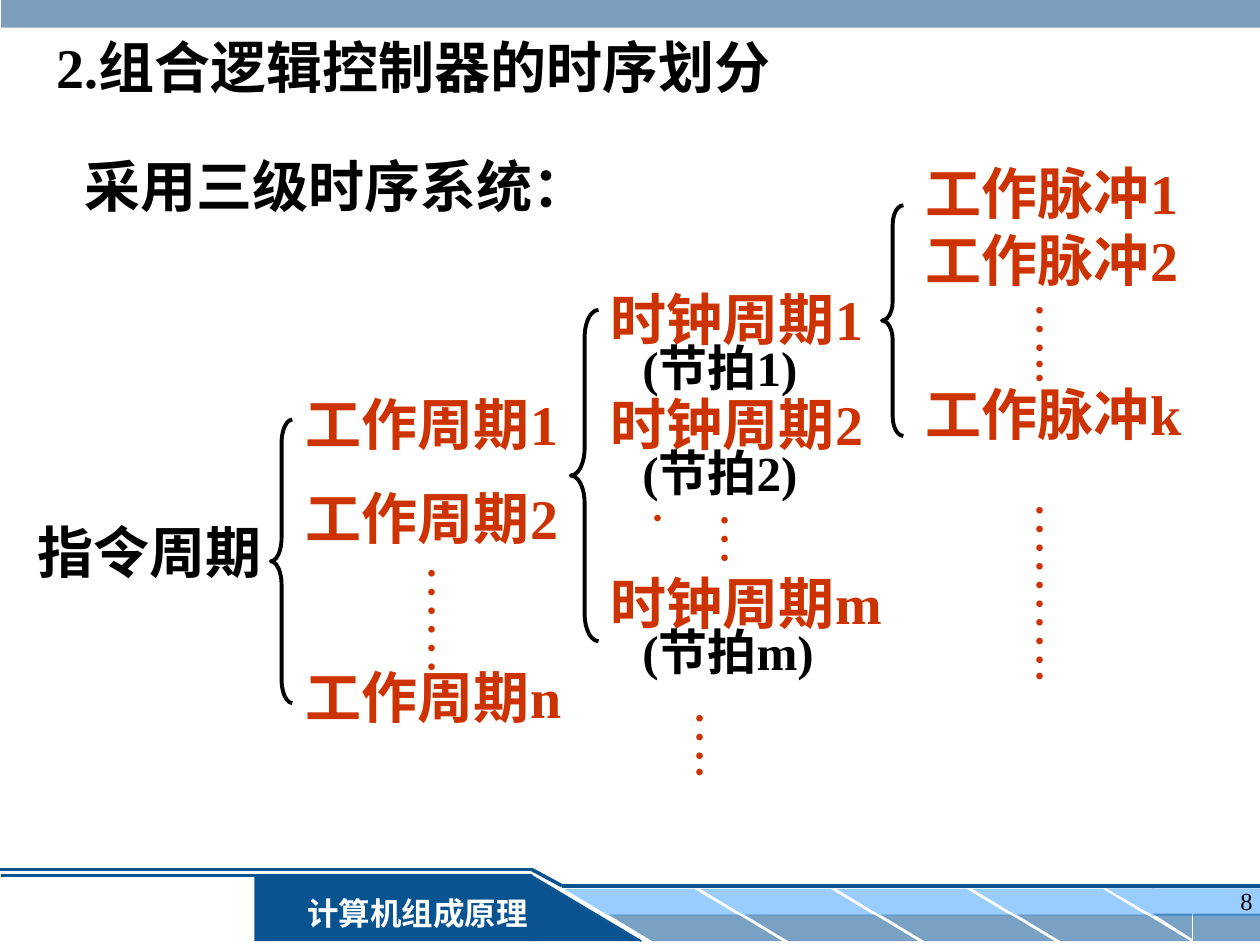
from lxml.etree import SubElement
from pptx import Presentation
from pptx.dml.color import RGBColor
from pptx.enum.shapes import MSO_CONNECTOR, MSO_SHAPE
from pptx.enum.text import MSO_ANCHOR, MSO_AUTO_SIZE, PP_ALIGN
from pptx.oxml.ns import qn
from pptx.util import Inches, Pt

NAVY, SKY, STEEL = "095391", "99CCFF", "336699"
BLACK, WHITE, RED = "000000", "FFFFFF", "CC3300"


def paint(fill, color, opacity=100):
    """Fill an area, a line or a font with one colour."""
    fill.solid()
    fill.fore_color.rgb = RGBColor.from_string(color)
    if opacity < 100:
        tint = fill._xPr.find(qn("a:solidFill"))[0]
        SubElement(tint, qn("a:alpha"), val=str(opacity * 1000))


def write(box, text, size, color, bold=True, align=PP_ALIGN.LEFT):
    """Put one formatted line of text into a box."""
    box.text_frame.word_wrap = True
    para = box.text_frame.paragraphs[0]
    para.alignment = align
    span = para.add_run()
    span.text = text
    span.font.name = "Times New Roman"
    span.font.size = Pt(size)
    span.font.bold = bold
    paint(span.font.fill, color)


# Slide with a grid of 100 columns by 75 rows
deck = Presentation()
deck.slide_width, deck.slide_height = Inches(10), Inches(7.5)
cell = deck.slide_width // 100
page = deck.slides.add_slide(deck.slide_layouts[5])
shapes = page.shapes

# Top bar and footer areas: preset, left, top, width, height, colour, opacity
areas = [
    (MSO_SHAPE.RECTANGLE, 0.1, -0.3, 100, 2.5, STEEL, 63),
    (MSO_SHAPE.RECTANGLE, 20.2, 69.5, 22, 5.2, NAVY, 100),
]
for step in range(4):
    left = 44.8 + 10.8 * step
    areas += [
        (MSO_SHAPE.PARALLELOGRAM, left, 70.55, 13.8, 2.1, SKY, 100),
        (MSO_SHAPE.PARALLELOGRAM, left + 3.5, 72.6, 13.8, 2.1, NAVY, 54),
    ]
areas += [
    (MSO_SHAPE.RECTANGLE, 91.4, 70.5, 8.6, 2.2, SKY, 100),
    (MSO_SHAPE.RIGHT_TRIANGLE, 87.8, 70.5, 3.8, 2.2, SKY, 100),
    (MSO_SHAPE.RECTANGLE, 94.7, 72.5, 5.4, 2.2, NAVY, 54),
    (MSO_SHAPE.RIGHT_TRIANGLE, 91.5, 72.5, 3.1, 2, NAVY, 54),
    (MSO_SHAPE.RIGHT_TRIANGLE, 42.1, 69.5, 8.7, 5.2, NAVY, 100),
]
for preset, *place, color, opacity in areas:
    area = shapes.add_shape(preset, *[int(value * cell) for value in place])
    area.shadow.inherit = False
    area.line.fill.background()
    paint(area.fill, color, opacity)
    if preset == MSO_SHAPE.PARALLELOGRAM:
        area.adjustments[0] = 1.66
        area._element.spPr.xfrm.set("flipH", "1")
    elif preset == MSO_SHAPE.RIGHT_TRIANGLE and color == SKY or opacity == 54:
        area.rotation = 180

# Footer rules: start, end, weight
rules = [
    (50.9, 74.7, 42.2, 69.5, 1),
    (42.2, 69.5, 0.1, 69.5, 1.5),
    (-0.1, 69, 42.2, 69, 2),
    (42.2, 69, 44.6, 70.3, 2),
    (44.6, 70.3, 100.1, 70.3, 2),
]
for *ends, weight in rules:
    rule = shapes.add_connector(MSO_CONNECTOR.STRAIGHT,
                                *[int(value * cell) for value in ends])
    rule.line.width = Pt(weight)
    paint(rule.line.fill, NAVY)
    SubElement(rule._element.spPr, qn("a:effectLst"))

# Course name and page number
banner = shapes.add_textbox(*[int(value * cell) for value in (22.9, 70.5, 20.5, 4)])
paint(banner.fill, NAVY)
write(banner, "计算机组成原理", 18, WHITE, align=PP_ALIGN.CENTER)
number = shapes.add_textbox(*[int(value * cell) for value in (77.1, 69.8, 23.3, 5.2)])
write(number, "8", 14, BLACK, bold=False, align=PP_ALIGN.RIGHT)

# Title
title = shapes.title
title.left, title.top, title.width, title.height = [
    int(value * cell) for value in (3.5, 8.4, 90, 12.5)]
title.text_frame.vertical_anchor = MSO_ANCHOR.MIDDLE
write(title, "采用三级时序系统：", 32, BLACK)
indent = title.text_frame.paragraphs[0]._p.get_or_add_pPr()
indent.set("marL", str(int(2.2 * cell)))
indent.set("indent", "0")

# Labels: text, left, top, width, height, size, colour
labels = [
    ("2.组合逻辑控制器的时序划分", 3.5, 2.1, 78.1, 6.4, 32, BLACK),
    ("指令周期", 2, 40.6, 28.3, 6.4, 32, BLACK),
]
for mark, top in (("1", 30.4), ("2", 37.9), ("n", 52.1)):
    labels.append((f"工作周期{mark}", 23.3, top, 28.3, 6.4, 32, RED))
for mark, top in (("1", 22.1), ("2", 30.4), ("m", 44.6)):
    labels.append((f"时钟周期{mark}", 47.5, top, 27.5, 6.4, 32, RED))
    labels.append((f"(节拍{mark})", 50, top + 4.2, 19.2, 5.7, 28, BLACK))
for mark, top in (("1", 12.1), ("2", 17.4), ("k", 29.6)):
    labels.append((f"工作脉冲{mark}", 72.5, top, 27.5, 6.4, 32, RED))
for text, *place, size, color in labels:
    label = shapes.add_textbox(*[int(value * cell) for value in place])
    label.text_frame.auto_size = MSO_AUTO_SIZE.SHAPE_TO_FIT_TEXT
    write(label, text, size, color)

# Vertical dots: text, left, top, height
dots = [
    ("……", 31.7, 43.8, 14.2),
    ("….", 55, 39.6, 6.7),
    ("….", 53, 55.3, 9.2),
    ("…..", 80, 22.9, 9.2),
    ("……….", 80, 38.8, 19.2),
]
for text, left, top, height in dots:
    column = shapes.add_textbox(*[int(value * cell) for value in (left, top, 7.3, height)])
    frame = column.text_frame
    frame.margin_left = frame.margin_right = cell // 2
    frame.margin_top = frame.margin_bottom = cell
    frame.auto_size = MSO_AUTO_SIZE.SHAPE_TO_FIT_TEXT
    frame._txBody.bodyPr.set("vert", "eaVert")
    write(column, text, 32, RED, bold=False)

# Braces joining the three levels: left, top, width, height
for place in ((21.5, 33.3, 1.7, 22.5), (45.3, 24.6, 2.2, 26.3), (70, 16.3, 1.7, 18.3)):
    brace = shapes.add_shape(MSO_SHAPE.LEFT_BRACE, *[int(value * cell) for value in place])
    brace.shadow.inherit = False
    brace.fill.background()
    brace.line.width = Pt(2.25)
    paint(brace.line.fill, BLACK)
    width, height = place[2:]
    brace.adjustments[0] = height / 12 / width

deck.save("out.pptx")
